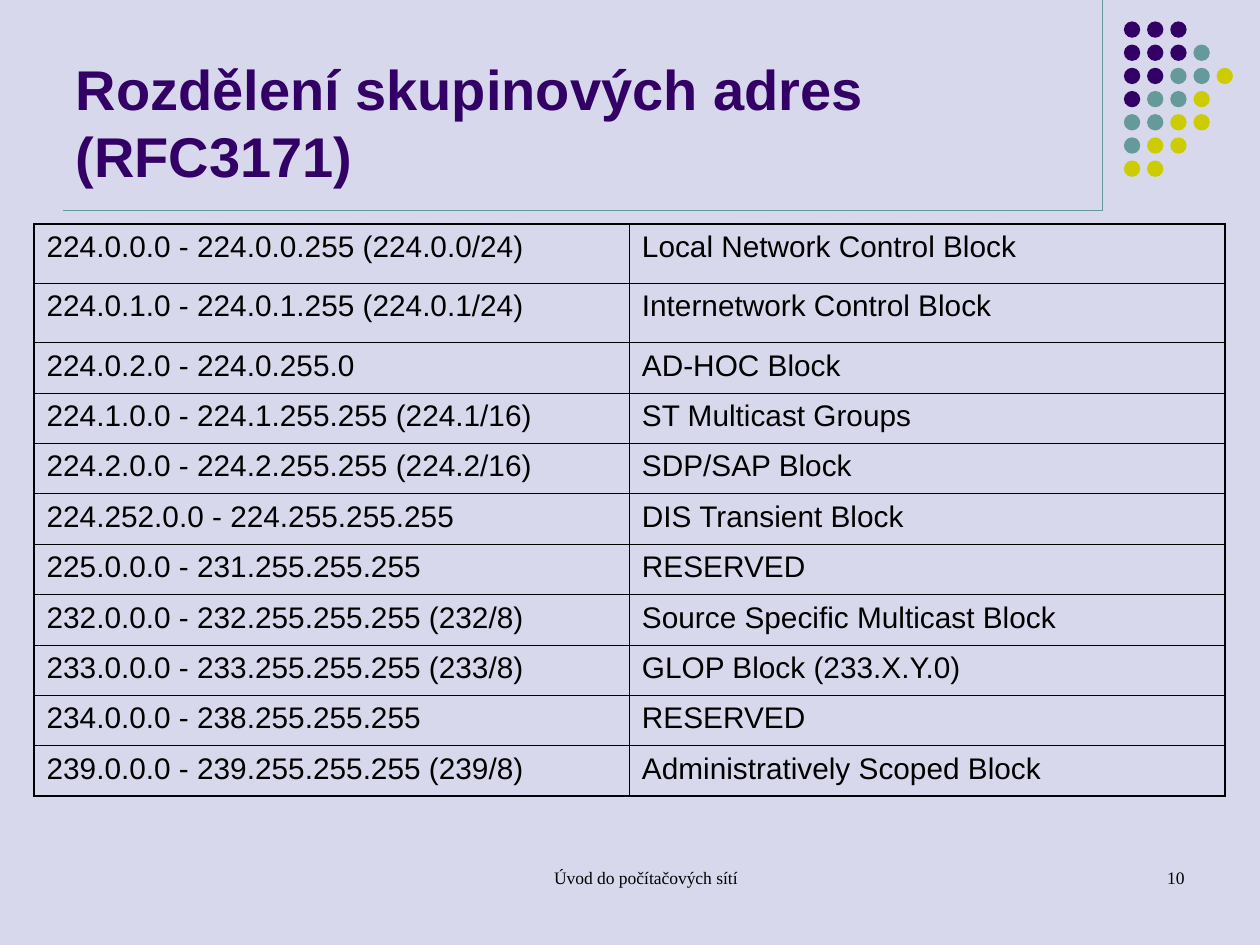
"""Builds a slide with a table of multicast address blocks."""
from lxml import etree
from pptx import Presentation, util as u
from pptx.dml.color import RGBColor
from pptx.enum import shapes, text
from pptx.oxml.ns import qn

COLOURS = {"back": "D8D8EC", "violet": "330066", "teal": "669999",
           "lime": "CCCC00", "ink": "000000"}
DOT_KEYS = {"v": "violet", "t": "teal", "l": "lime"}
DOT_ROWS = ["vvv", "vvvt", "vvttl", "vttl", "ttll", "tll", "ll"]
BLOCKS = [
    ("224.0.0.0 - 224.0.0.255 (224.0.0/24)", "Local Network Control Block"),
    ("224.0.1.0 - 224.0.1.255 (224.0.1/24)", "Internetwork Control Block"),
    ("224.0.2.0 - 224.0.255.0", "AD-HOC Block"),
    ("224.1.0.0 - 224.1.255.255 (224.1/16)", "ST Multicast Groups"),
    ("224.2.0.0 - 224.2.255.255 (224.2/16)", "SDP/SAP Block"),
    ("224.252.0.0 - 224.255.255.255", "DIS Transient Block"),
    ("225.0.0.0 - 231.255.255.255", "RESERVED"),
    ("232.0.0.0 - 232.255.255.255 (232/8)", "Source Specific Multicast Block"),
    ("233.0.0.0 - 233.255.255.255 (233/8)", "GLOP Block (233.X.Y.0)"),
    ("234.0.0.0 - 238.255.255.255", "RESERVED"),
    ("239.0.0.0 - 239.255.255.255 (239/8)", "Administratively Scoped Block"),
]


def colour(name):
    return RGBColor.from_string(COLOURS[name])


def write(frame, words, size=17, font="Arial", ink="ink", bold=False,
          align=text.PP_ALIGN.LEFT):
    """Puts one formatted paragraph into a text frame."""
    frame.word_wrap = True
    para = frame.paragraphs[0]
    para.alignment = align
    span = para.add_run()
    span.text = words
    span.font.size = u.Pt(size)
    span.font.name = font
    span.font.bold = bold
    span.font.color.rgb = colour(ink)


def draw_borders(cell, widths):
    """Draws the left, right, top and bottom borders of a cell."""
    properties = cell._tc.get_or_add_tcPr()
    for place, (side, width) in enumerate(zip("LRTB", widths)):
        border = etree.Element(qn(f"a:ln{side}"), w=str(int(u.Pt(width))))
        fill = etree.SubElement(border, qn("a:solidFill"))
        etree.SubElement(fill, qn("a:srgbClr"), val=COLOURS["ink"])
        properties.insert(place, border)


class Page:
    """Holds the current slide and draws each kind of element in its style."""

    def __init__(self, deck):
        self.slide = deck.slides.add_slide(deck.slide_layouts[5])
        self.slide.background.fill.solid()
        self.slide.background.fill.fore_color.rgb = colour("back")

    def title(self, words, left, top, width, height):
        box = self.slide.shapes.title
        box.left, box.top = u.Inches(left), u.Inches(top)
        box.width, box.height = u.Inches(width), u.Inches(height)
        box.text_frame.auto_size = text.MSO_AUTO_SIZE.NONE
        box.text_frame.vertical_anchor = text.MSO_ANCHOR.BOTTOM
        write(box.text_frame, words, size=32, ink="violet", bold=True)

    def rule(self, *ends):
        line = self.slide.shapes.add_connector(
            shapes.MSO_CONNECTOR.STRAIGHT, *map(u.Inches, ends))
        line.line.color.rgb = colour("teal")
        line.line.width = u.Pt(0.75)
        etree.SubElement(line._element.spPr, qn("a:effectLst"))

    def dot(self, left, top, fill, size=0.13):
        dot = self.slide.shapes.add_shape(
            shapes.MSO_SHAPE.OVAL, *map(u.Inches, (left, top, size, size)))
        dot.shadow.inherit = False
        dot.fill.solid()
        dot.fill.fore_color.rgb = colour(fill)
        dot.line.fill.background()

    def table(self, rows, left, top, width, heights):
        table = self.slide.shapes.add_table(
            len(rows), 2, *map(u.Inches, (left, top, width, sum(heights)))).table
        table.first_row = table.horz_banding = False
        thin, thick = 0.45, 1.08
        last = len(rows) - 1
        for r, row in enumerate(rows):
            table.rows[r].height = u.Inches(heights[r])
            for c, words in enumerate(row):
                cell = table.cell(r, c)
                cell.fill.background()
                write(cell.text_frame, words)
                outer = (c == 0, c == 1, r == 0, r == last)
                draw_borders(cell, [thick if edge else thin for edge in outer])

    def footer(self, words, left, width, align):
        box = self.slide.shapes.add_textbox(
            *map(u.Inches, (left, 6.83, width, 0.5)))
        box.text_frame.margin_left = u.Inches(0.34)
        write(box.text_frame, words, size=10, font="Times New Roman", align=align)


def main():
    deck = Presentation()
    deck.slide_width, deck.slide_height = u.Inches(10), u.Inches(7.5)
    page = Page(deck)
    page.rule(8.75, 0, 8.75, 1.67)
    pitch = 0.184
    for r, row in enumerate(DOT_ROWS):
        for c, key in enumerate(row):
            page.dot(8.92 + c * pitch, 0.17 + r * pitch, DOT_KEYS[key])
    page.rule(0.5, 1.67, 8.75, 1.67)
    page.title("Rozdělení skupinových adres (RFC3171)", 0.5, 0.13, 8.25, 1.42)
    page.table(BLOCKS, 0.27, 1.78, 9.45, [0.47] * 2 + [0.4] * 9)
    page.footer("Úvod do počítačových sítí", 3.42, 3.17, text.PP_ALIGN.CENTER)
    page.footer("10", 7.17, 2.33, text.PP_ALIGN.RIGHT)
    deck.save("out.pptx")


if __name__ == "__main__":
    main()
